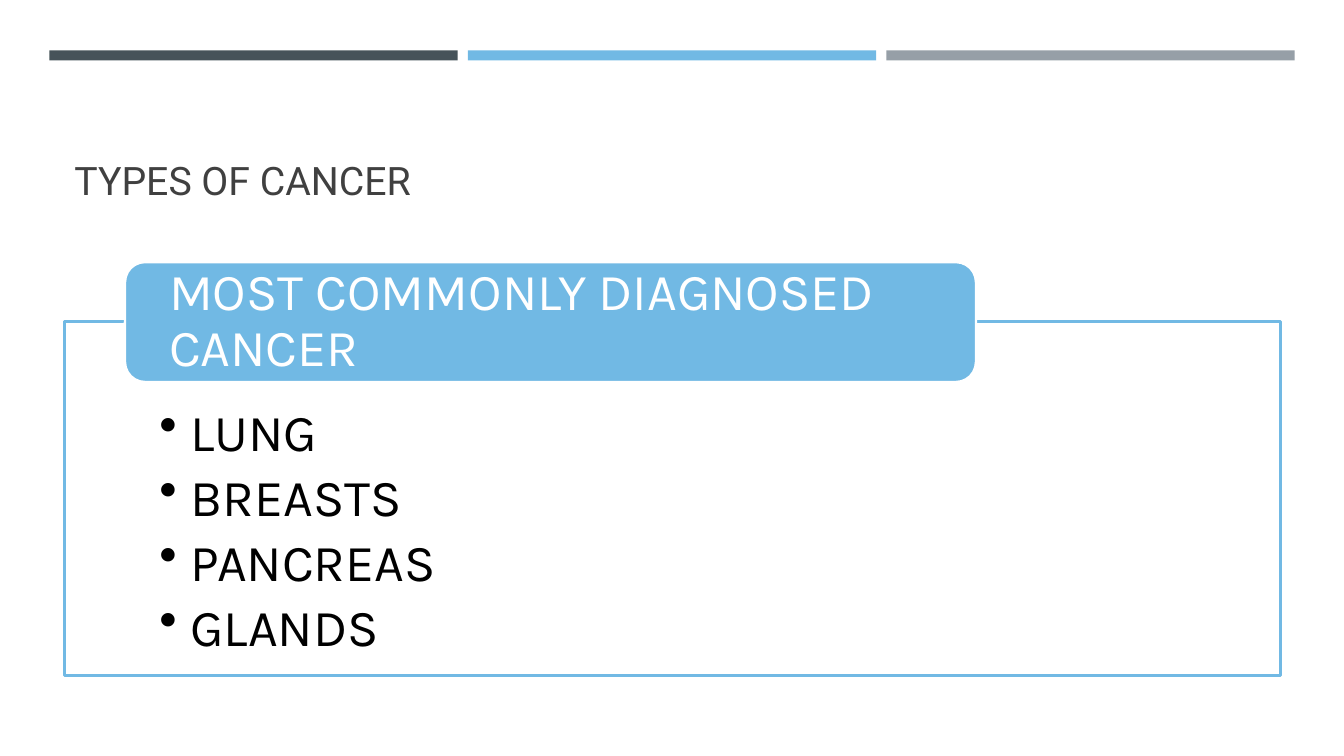
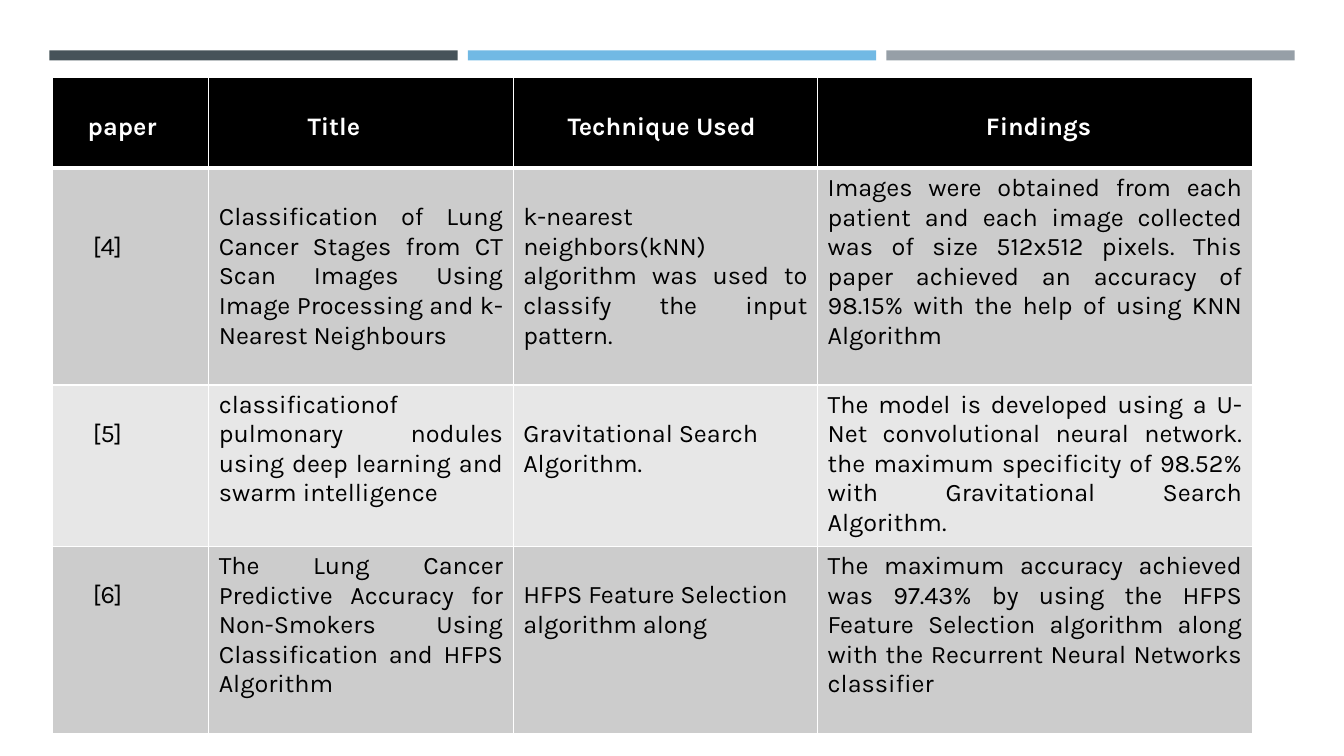
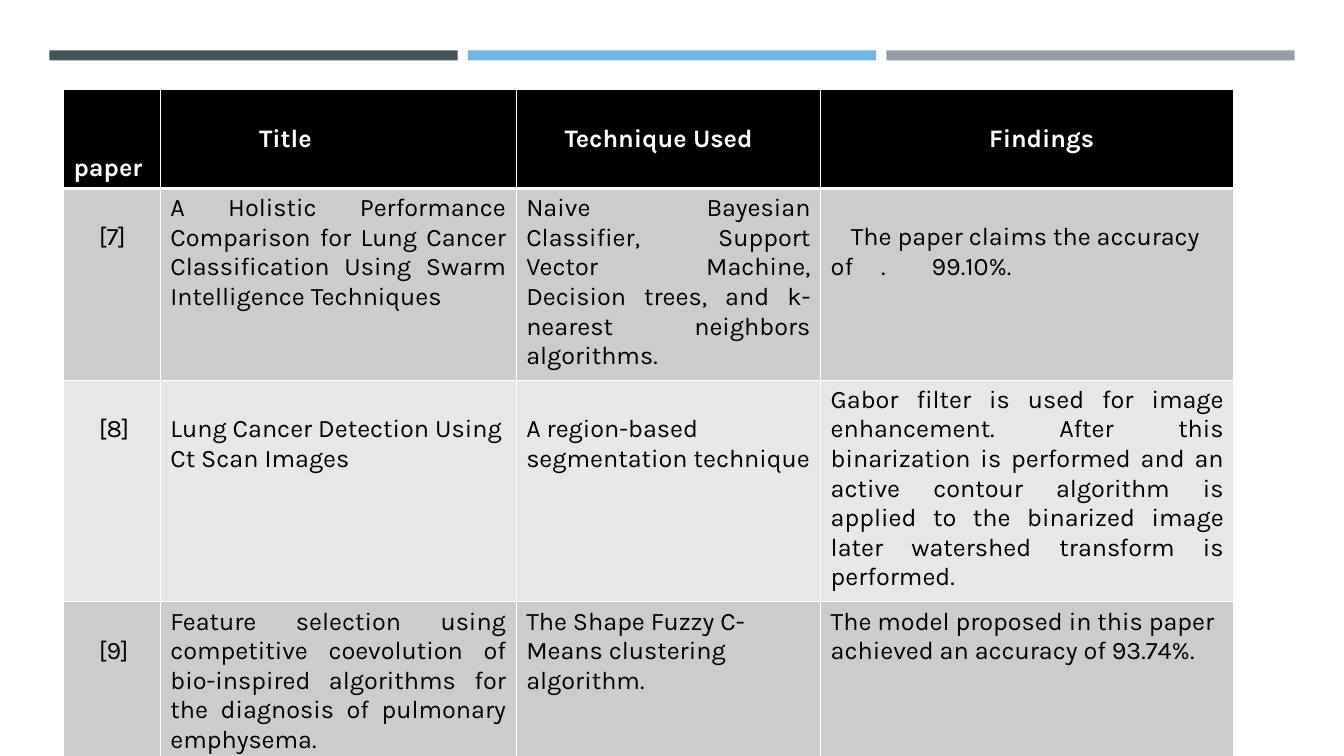
from dataclasses import dataclass

from lxml.etree import SubElement
from pptx import Presentation
from pptx.dml.color import RGBColor
from pptx.enum.shapes import MSO_SHAPE as Preset
from pptx.enum.text import MSO_ANCHOR as Anchor, PP_ALIGN as Align
from pptx.oxml.ns import qn
from pptx.util import Inches, Pt


@dataclass(frozen=True)
class Theme:
    slate: str = "465359"
    blue: str = "71B9E4"
    grey: str = "969FA7"
    white: str = "FFFFFF"
    black: str = "000000"
    title_ink: str = "404040"
    row_fills: tuple = ("CCCCCC", "E7E7E7")
    title_font: str = "Roboto"
    body_font: str = "Karla"
    title_size: float = 28
    list_size: float = 37
    table_size: float = 18


@dataclass
class Entry:
    """Text of a table cell; drop counts the lines it starts below the top."""
    text: str
    drop: int = 0
    justify: bool = False
    indent: float = 0
    first_indent: float = 0
    tabs: tuple = ()


def justified(text, drop=0):
    return Entry(text, drop, justify=True)


class Deck:
    LINE_HEIGHT = 0.29
    CELL_SIDE, CELL_TOP = 0.1, 0.05

    def __init__(self, theme):
        self.theme = theme
        self.file = Presentation()
        self.file.slide_width, self.file.slide_height = Inches(13.33), Inches(7.5)
        self.page = None

    def add_page(self):
        self.page = self.file.slides.add_slide(self.file.slide_layouts[6])
        theme = self.theme
        for index, color in enumerate((theme.slate, theme.blue, theme.grey)):
            self.add_box(0.49 + 4.15 * index, 0.5, 4.05, 0.1, color)

    def add_box(self, left, top, width, height, fill, line=None, preset=Preset.RECTANGLE):
        box = self.page.shapes.add_shape(
            preset, Inches(left), Inches(top), Inches(width), Inches(height))
        box.shadow.inherit = False
        box.fill.solid()
        box.fill.fore_color.rgb = RGBColor.from_string(fill)
        if line:
            box.line.color.rgb = RGBColor.from_string(line)
            box.line.width = Pt(1.75)
        else:
            box.line.fill.background()
        return box

    def set_font(self, para, size, color, name=None, bold=False):
        font = para.font
        font.name = name or self.theme.body_font
        font.size = Pt(size)
        font.bold = bold
        font.color.rgb = RGBColor.from_string(color)

    def set_frame(self, box, anchor, left, top, right, bottom):
        frame = box.text_frame
        frame.word_wrap = True
        frame.vertical_anchor = anchor
        frame.margin_left, frame.margin_right = Inches(left), Inches(right)
        frame.margin_top, frame.margin_bottom = Inches(top), Inches(bottom)
        return frame

    def add_title(self, text):
        box = self.page.shapes.add_textbox(
            Inches(0.64), Inches(0.77), Inches(12.06), Inches(1.3))
        frame = self.set_frame(box, Anchor.BOTTOM, 0.1, 0.05, 0.1, 0.05)
        frame.text = text
        theme = self.theme
        self.set_font(frame.paragraphs[0], theme.title_size, theme.title_ink, theme.title_font)

    def add_labelled_list(self, label, items):
        """Outlined list with a rounded label over its top edge."""
        theme = self.theme
        panel = self.add_box(0.64, 3.19, 12.06, 3.51, theme.white, theme.blue)
        frame = self.set_frame(panel, Anchor.TOP, 0.94, 0.84, 0.94, 0.29)
        frame.text = "\n".join(items)
        for para in frame.paragraphs:
            properties = para._p.get_or_add_pPr()
            properties.set("marL", str(Inches(0.31)))
            properties.set("indent", str(Inches(-0.31)))
            SubElement(properties, qn("a:buChar"), char="•")
            para.space_after = Pt(6.5)
            self.style_list_line(para, theme.black)

        tab = self.add_box(1.24, 2.6, 8.44, 1.19, theme.blue, theme.white,
                           Preset.ROUNDED_RECTANGLE)
        frame = self.set_frame(tab, Anchor.MIDDLE, 0.38, 0, 0.38, 0)
        frame.text = label
        self.style_list_line(frame.paragraphs[0], theme.white)

    def style_list_line(self, para, color):
        para.alignment = Align.LEFT
        para.line_spacing = 0.9
        self.set_font(para, self.theme.list_size, color)

    def add_table(self, left, top, columns, heights, rows):
        table = self.page.shapes.add_table(
            len(rows), len(columns), Inches(left), Inches(top),
            Inches(sum(columns)), Inches(sum(heights))).table
        table.first_row = table.horz_banding = False
        for column, width in zip(table.columns, columns):
            column.width = Inches(width)
        for index, (row, height, entries) in enumerate(zip(table.rows, heights, rows)):
            row.height = Inches(height)
            for cell, entry in zip(row.cells, entries):
                self.fill_cell(cell, entry, index)

    def fill_cell(self, cell, entry, row):
        theme = self.theme
        header = row == 0
        self.set_borders(cell, top=3 if row == 1 else 1, bottom=3 if header else 1)
        cell.fill.solid()
        fill = theme.black if header else theme.row_fills[(row - 1) % 2]
        cell.fill.fore_color.rgb = RGBColor.from_string(fill)
        cell.margin_left = Inches(self.CELL_SIDE + entry.indent)
        cell.margin_right = Inches(self.CELL_SIDE)
        cell.margin_top = Inches(self.CELL_TOP + self.LINE_HEIGHT * entry.drop)
        cell.margin_bottom = Inches(self.CELL_TOP)
        cell.text = entry.text
        para = cell.text_frame.paragraphs[0]
        para.alignment = Align.JUSTIFY if entry.justify else Align.LEFT
        properties = para._p.get_or_add_pPr()
        if entry.first_indent:
            properties.set("indent", str(Inches(entry.first_indent)))
        if entry.tabs:
            stops = SubElement(properties, qn("a:tabLst"))
            for position in entry.tabs:
                SubElement(stops, qn("a:tab"), pos=str(Inches(position)), algn="l")
        self.set_font(para, theme.table_size, theme.white if header else theme.black,
                      bold=header)

    def set_borders(self, cell, top, bottom):
        properties = cell._tc.get_or_add_tcPr()
        for side, width in (("L", 1), ("R", 1), ("T", top), ("B", bottom)):
            line = SubElement(properties, qn("a:ln" + side), w=str(Pt(width)))
            fill = SubElement(line, qn("a:solidFill"))
            SubElement(fill, qn("a:srgbClr"), val=self.theme.white)


def main():
    deck = Deck(Theme())

    deck.add_page()
    deck.add_title("TYPES OF CANCER")
    deck.add_labelled_list("MOST COMMONLY DIAGNOSED CANCER",
                           ["LUNG", "BREASTS", "PANCREAS", "GLANDS"])

    deck.add_page()
    deck.add_table(0.52, 0.77, [1.55, 3.02, 3.02, 4.31], [0.9, 2.15, 1.57, 1.86], [
        [Entry("paper", 1, indent=0.25), Entry("Title", 1, indent=0.88),
         Entry("Technique Used", 1, indent=0.44), Entry("Findings", 1, indent=1.57)],
        [Entry("[4]", 2, indent=0.3),
         justified("Classification of Lung Cancer Stages from CT Scan Images Using "
                   "Image Processing and k-Nearest Neighbours", 1),
         justified("k-nearest neighbors(kNN) algorithm was used to classify the "
                   "input pattern.", 1),
         justified("Images were obtained from each patient and each image collected "
                   "was of size 512x512 pixels. This paper achieved an accuracy of "
                   "98.15% with the help of using KNN Algorithm")],
        [Entry("[5]", 1, indent=0.3),
         justified("classificationof pulmonary nodules using deep learning and "
                   "swarm intelligence"),
         Entry("Gravitational Search Algorithm.", 1),
         justified("The model is developed using a U-Net convolutional neural network. "
                   "the maximum specificity of 98.52% with Gravitational Search "
                   "Algorithm.")],
        [Entry("[6]", 1, indent=0.3),
         justified("The Lung Cancer Predictive Accuracy for Non-Smokers Using "
                   "Classification and HFPS Algorithm"),
         Entry("HFPS Feature Selection algorithm along", 1),
         justified("The maximum accuracy achieved was 97.43% by using the HFPS Feature "
                   "Selection algorithm along with the Recurrent Neural Networks "
                   "classifier")],
    ])

    deck.add_page()
    deck.add_table(0.63, 0.89, [0.96, 3.53, 3.02, 4.1], [0.98, 1.86, 2.15, 1.82], [
        [Entry("paper", 2), Entry("Title", 1, indent=0.88),
         Entry("Technique Used", 1, indent=0.38), Entry("Findings", 1, indent=1.57)],
        [Entry("[7]", 1, indent=0.25),
         justified("A Holistic Performance Comparison for Lung Cancer Classification "
                   "Using Swarm Intelligence Techniques"),
         justified("Naive Bayesian Classifier, Support Vector Machine, Decision trees, "
                   "and k-nearest neighbors algorithms."),
         Entry("The paper claims the accuracy of\t.\t99.10%.", 1,
               first_indent=0.2, tabs=(0.4, 0.62))],
        [Entry("[8]", 1, indent=0.25),
         Entry("Lung Cancer Detection Using Ct Scan Images", 1),
         Entry("A region-based segmentation technique", 1),
         justified("Gabor filter is used for image enhancement. After this binarization "
                   "is performed and an active contour algorithm is applied to the "
                   "binarized image later watershed transform is performed.")],
        [Entry("[9]", 1, indent=0.25),
         justified("Feature selection using competitive coevolution of bio-inspired "
                   "algorithms for the diagnosis of pulmonary emphysema."),
         Entry("The Shape Fuzzy C-Means clustering algorithm."),
         Entry("The model proposed in this paper achieved an accuracy of 93.74%.")],
    ])

    deck.file.save("out.pptx")


if __name__ == "__main__":
    main()
